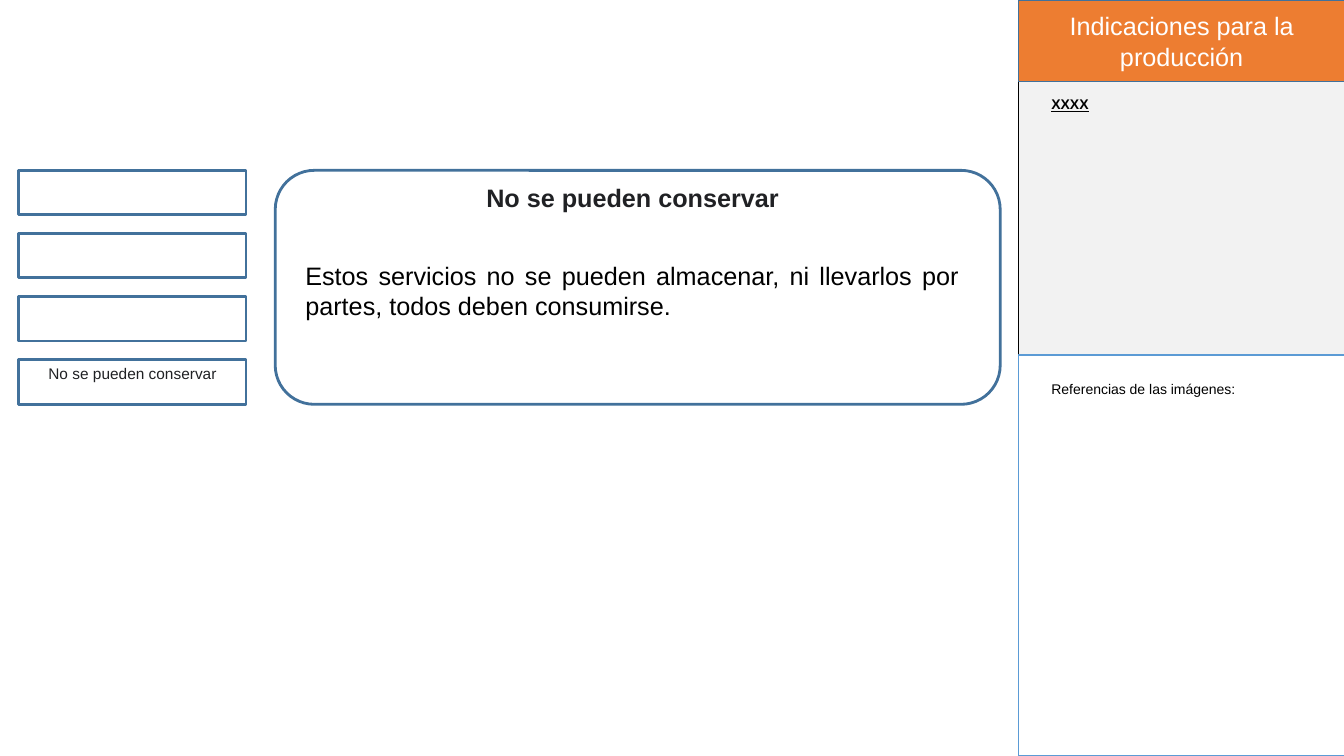
from pptx import Presentation
from pptx.dml.color import RGBColor
from pptx.enum.shapes import MSO_SHAPE
from pptx.enum.text import MSO_ANCHOR, PP_ALIGN
from pptx.util import Inches, Pt

WIDE, HIGH = 13.33, 7.5
SIDE, SIDE_W = 10.1, 3.24
TOP, STEP, TABS = 1.69, 0.627, 4
TAB_H = 0.44
CARD_H = (TABS - 1) * STEP + TAB_H
COLORS = {
    "black": "000000",
    "white": "FFFFFF",
    "ink": "202124",
    "gray": "F2F2F2",
    "orange": "ED7D31",
    "navy": "42719B",
    "blue": "5B9BD5",
}


def color(name):
    return RGBColor.from_string(COLORS[name])


def add_box(slide, area, fill=None, line="navy", width=1, kind=MSO_SHAPE.RECTANGLE):
    box = slide.shapes.add_shape(kind, *map(Inches, area))
    box.shadow.inherit = False
    if fill:
        box.fill.solid()
        box.fill.fore_color.rgb = color(fill)
    else:
        box.fill.background()
    box.line.color.rgb = color(line)
    box.line.width = Pt(width)
    return box


def set_text(shape, text, size=10, ink="black", bold=False, under=False,
             align=PP_ALIGN.LEFT, anchor=MSO_ANCHOR.TOP):
    frame = shape.text_frame
    frame.word_wrap = True
    frame.vertical_anchor = anchor
    para = frame.paragraphs[0]
    para.alignment = align
    run = para.add_run()
    run.text = text
    font = run.font
    font.name = "Arial"
    font.size = Pt(size)
    font.bold = bold
    font.underline = under
    font.color.rgb = color(ink)


def add_label(slide, area, text, **style):
    set_text(slide.shapes.add_textbox(*map(Inches, area)), text, **style)


def add_side(slide):
    add_box(slide, (SIDE, 0, SIDE_W, HIGH), "gray", "black")
    head = add_box(slide, (SIDE, 0, SIDE_W, 0.81), "orange")
    set_text(head, "Indicaciones para la producción", size=18, ink="white",
             align=PP_ALIGN.CENTER, anchor=MSO_ANCHOR.MIDDLE)
    add_box(slide, (SIDE, 3.52, SIDE_W, HIGH - 3.52), "white", "blue")
    add_label(slide, (10.33, 0.9, 2.87, 0.61), "XXXX", bold=True, under=True)
    add_label(slide, (10.33, 3.73, 2.8, 0.61), "Referencias de las imágenes:")


def add_tabs(slide, title):
    for row in range(TABS):
        add_box(slide, (0.18, TOP + row * STEP, 2.26, TAB_H), width=2)
    add_label(slide, (0.3, 3.56, 2.03, 0.29), title, size=11, ink="ink",
              align=PP_ALIGN.CENTER)


def add_card(slide, title, body):
    add_box(slide, (2.73, TOP, 7.19, CARD_H), width=2,
            kind=MSO_SHAPE.ROUNDED_RECTANGLE)
    add_label(slide, (4.44, 1.76, 3.67, 0.4), title, size=18, ink="ink",
              bold=True, align=PP_ALIGN.CENTER)
    add_label(slide, (2.93, 2.53, 6.68, 0.71), body, size=18,
              align=PP_ALIGN.JUSTIFY)


def main():
    deck = Presentation()
    deck.slide_width, deck.slide_height = Inches(WIDE), Inches(HIGH)
    slide = deck.slides.add_slide(deck.slide_layouts[6])
    title = "No se pueden conservar"
    add_side(slide)
    add_tabs(slide, title)
    add_card(slide, title, "Estos servicios no se pueden almacenar, ni llevarlos "
             "por partes, todos deben consumirse.")
    deck.save("out.pptx")


if __name__ == "__main__":
    main()
